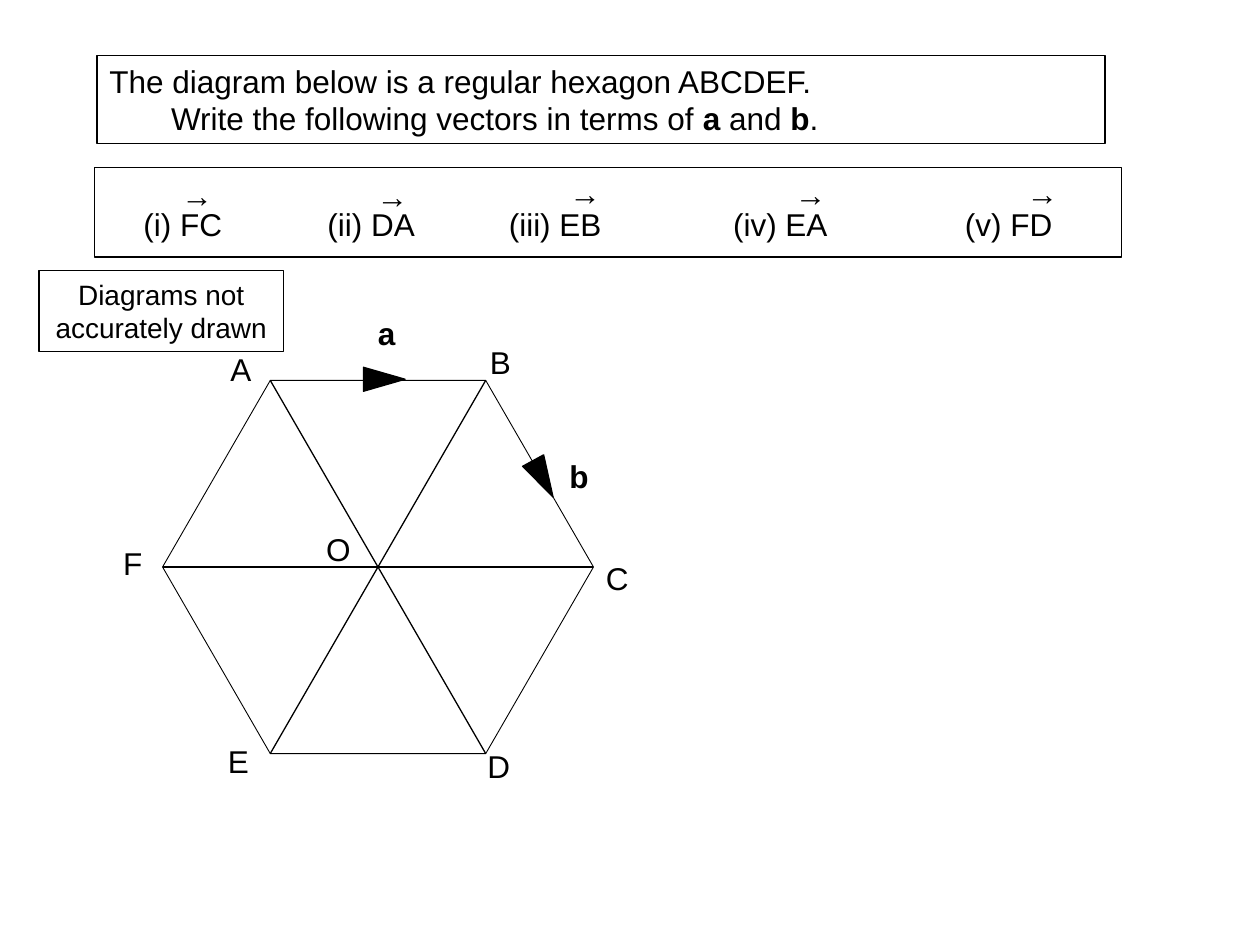
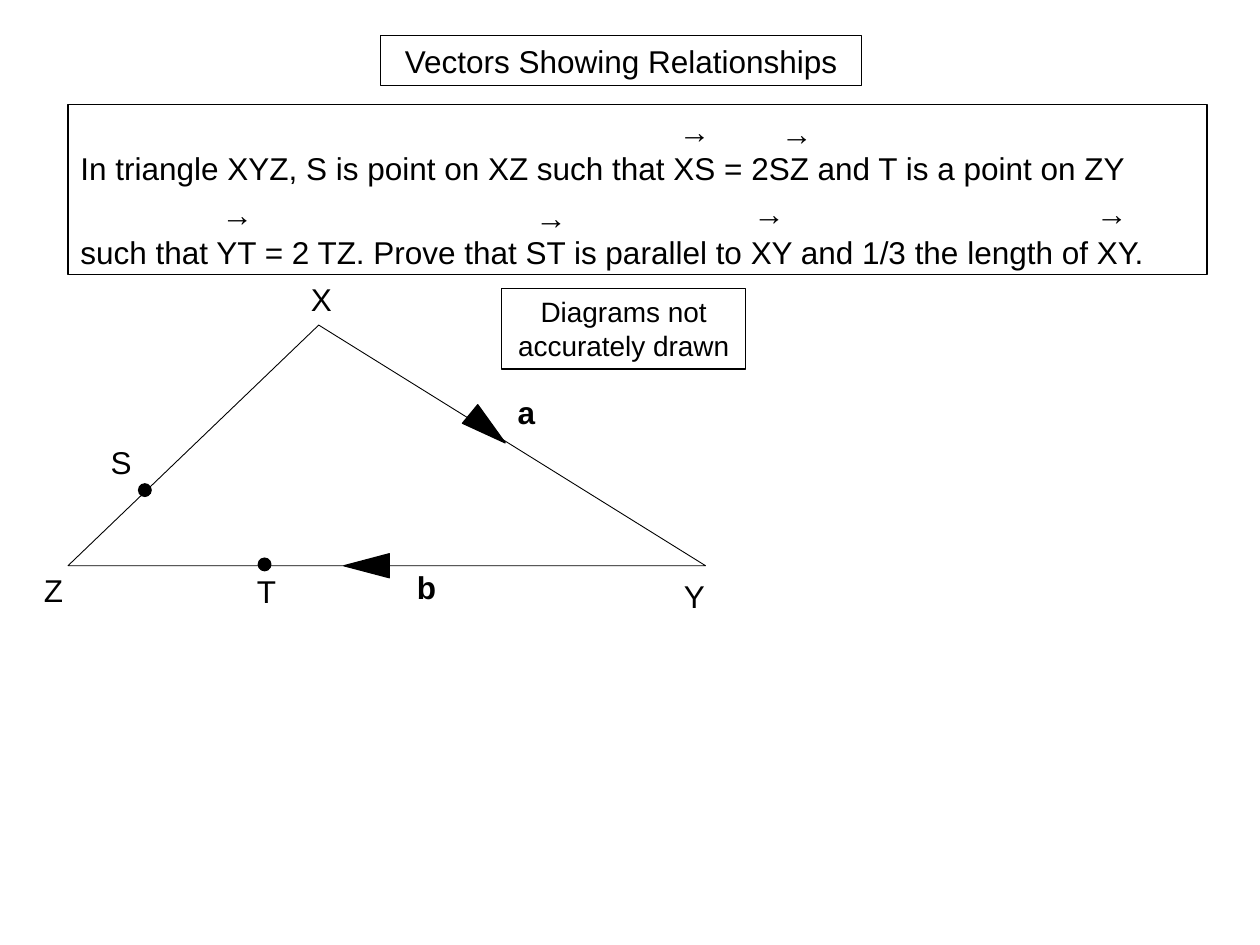
from dataclasses import dataclass
from math import cos, radians, sin

from lxml.etree import SubElement
from pptx import Presentation
from pptx.dml.color import RGBColor
from pptx.enum.shapes import MSO_CONNECTOR, MSO_SHAPE
from pptx.enum.text import MSO_ANCHOR, PP_ALIGN
from pptx.oxml.ns import qn
from pptx.util import Inches, Pt

COLUMNS, ROWS = 100, 75
TITLE_ONLY, BLANK = 5, 6


@dataclass(frozen=True)
class Theme:
    font: str = "Arial"
    ink: RGBColor = RGBColor(0, 0, 0)
    body_size: float = 18
    note_size: float = 16
    frame_line: float = 0.75
    figure_line: float = 0.5


class Worksheet:
    """Draws on the current slide; all positions are grid columns and rows."""

    def __init__(self, presentation, theme):
        self.presentation = presentation
        self.theme = theme
        self.column = presentation.slide_width // COLUMNS
        self.row = presentation.slide_height // ROWS
        self.slide = None

    def new_slide(self, layout):
        self.slide = self.presentation.slides.add_slide(
            self.presentation.slide_layouts[layout])

    def x(self, columns):
        return round(columns * self.column)

    def y(self, rows):
        return round(rows * self.row)

    def box(self, left, top, width, height):
        return self.x(left), self.y(top), self.x(width), self.y(height)

    def outline(self, shape, width=None):
        shape.line.color.rgb = self.theme.ink
        shape.line.width = Pt(width or self.theme.frame_line)

    def shape(self, kind, place, filled=False, line_width=None):
        shape = self.slide.shapes.add_shape(kind, *self.box(*place))
        shape.shadow.inherit = False
        if filled:
            shape.fill.solid()
            shape.fill.fore_color.rgb = self.theme.ink
        else:
            shape.fill.background()
        self.outline(shape, line_width)
        return shape

    def set_text(self, shape, lines, size=None, align=PP_ALIGN.LEFT, bold=False,
                 gap=0, indent=0, tabs=()):
        """Fill a shape with lines; *stars* mark bold, indent is for later lines."""
        frame = shape.text_frame
        frame.word_wrap = True
        frame.vertical_anchor = MSO_ANCHOR.TOP
        for number, line in enumerate(lines):
            paragraph = frame.add_paragraph() if number else frame.paragraphs[0]
            paragraph.alignment = align
            if number:
                paragraph.space_before = Pt(gap)
                paragraph._p.get_or_add_pPr().set("marL", str(self.x(indent)))
            if tabs:
                tab_list = SubElement(paragraph._p.get_or_add_pPr(), qn("a:tabLst"))
                for position in tabs:
                    SubElement(tab_list, qn("a:tab"), pos=str(self.x(position)), algn="l")
            for index, part in enumerate(line.split("*")):
                run = paragraph.add_run()
                run.text = part
                run.font.name = self.theme.font
                run.font.size = Pt(size or self.theme.body_size)
                run.font.color.rgb = self.theme.ink
                run.font.bold = bold or index % 2 == 1

    def title(self, text, place):
        title = self.slide.shapes.title
        title.left, title.top, title.width, title.height = self.box(*place)
        self.outline(title)
        self.set_text(title, [text], align=PP_ALIGN.CENTER)

    def framed_text(self, lines, place, **style):
        shape = self.shape(MSO_SHAPE.RECTANGLE, place)
        self.set_text(shape, lines, **style)
        return shape

    def label(self, text, left, top, width=4, **style):
        shape = self.slide.shapes.add_textbox(*self.box(left, top, width, 4))
        self.set_text(shape, [text], **style)

    def labels(self, places, **style):
        for text, (left, top) in places.items():
            self.label(text, left, top, **style)

    def vector_arrows(self, places):
        for left, top in places:
            self.label("→", left, top, width=5.8)

    def accuracy_note(self, left, top):
        self.framed_text(["Diagrams not accurately drawn"], (left, top, 19.4, 6.4),
                         size=self.theme.note_size, align=PP_ALIGN.CENTER)

    def centred(self, kind, centre, width, height):
        place = (centre[0] - width / 2, centre[1] - height / 2, width, height)
        return self.shape(kind, place, filled=True)

    def direction_mark(self, centre, angle, length):
        mark = self.centred(MSO_SHAPE.ISOSCELES_TRIANGLE, centre, 1.9, length)
        mark.rotation = angle

    def point(self, centre):
        self.centred(MSO_SHAPE.OVAL, centre, 1, 1)

    def line(self, start, end):
        line = self.slide.shapes.add_connector(
            MSO_CONNECTOR.STRAIGHT, self.x(start[0]), self.y(start[1]),
            self.x(end[0]), self.y(end[1]))
        self.outline(line)
        SubElement(line._element.spPr, qn("a:effectLst"))

    def polygon(self, corners):
        points = [(self.x(column), self.y(row)) for column, row in corners]
        builder = self.slide.shapes.build_freeform(*points[0])
        builder.add_line_segments(points[1:], close=True)
        polygon = builder.convert_to_shape()
        polygon.shadow.inherit = False
        polygon.fill.background()
        self.outline(polygon, self.theme.figure_line)

    def hexagon(self, centre, radius):
        """Regular hexagon with its three diagonals."""
        half_height = radius * sin(radians(60))
        hexagon = self.shape(
            MSO_SHAPE.HEXAGON,
            (centre[0] - radius, centre[1] - half_height, 2 * radius, 2 * half_height),
            line_width=self.theme.figure_line)
        hexagon.adjustments[0] = radius / 2 / (2 * half_height)
        corners = [(centre[0] + radius * cos(radians(angle)),
                    centre[1] + radius * sin(radians(angle)))
                   for angle in range(0, 360, 60)]
        for start, end in zip(corners[:3], corners[3:]):
            self.line(start, end)


def hexagon_slide(sheet):
    sheet.new_slide(BLANK)
    sheet.framed_text(["The diagram below is a regular hexagon ABCDEF.",
                       "Write the following vectors in terms of *a* and *b*."],
                      (7.7, 4.4, 80, 7), indent=4.9)
    sheet.label("(i) FC\t(ii) DA\t(iii) EB\t(iv) EA\t(v) FD", 10.4, 15.8,
                width=79.6, tabs=(14.6, 29, 46.8, 65.2))
    sheet.vector_arrows([(13.4, 13.5), (28.9, 13.6), (44.2, 13.3),
                         (62.1, 13.4), (80.5, 13.3)])
    sheet.shape(MSO_SHAPE.RECTANGLE, (7.5, 13.3, 81.5, 7.1))
    sheet.hexagon((30, 45), 17.1)
    sheet.direction_mark((30.5, 30.1), 90, 3.3)
    sheet.direction_mark((43.1, 38), 151.4, 3.3)
    sheet.labels({"A": (17.3, 27.3), "B": (37.9, 26.7), "C": (47.1, 43.9),
                  "D": (37.7, 58.8), "E": (17.1, 58.4), "F": (8.8, 42.7),
                  "O": (24.9, 41.6)})
    sheet.labels({"a": (29, 24.4), "b": (44.2, 35.8)}, bold=True)
    sheet.accuracy_note(3.1, 21.5)


def triangle_slide(sheet):
    sheet.new_slide(TITLE_ONLY)
    sheet.title("Vectors Showing Relationships", (30.2, 2.8, 38.2, 4))
    question = sheet.framed_text(
        ["In triangle XYZ, S is point on XZ such that XS = 2SZ and T is a point on ZY",
         "such that YT = 2 TZ. Prove that ST is parallel to XY and 1/3 the length of XY."],
        (5.4, 8.3, 90.4, 13.5), gap=26.7)
    question.text_frame.margin_top = Inches(0.35)
    sheet.vector_arrows([(52.9, 8.4), (61, 8.6), (16.6, 15),
                         (41.5, 15.2), (58.8, 14.9), (86, 14.9)])
    sheet.polygon([(56, 44.9), (5.4, 44.9), (25.3, 25.8)])
    sheet.direction_mark((29.1, 44.9), 270, 3.6)
    sheet.direction_mark((38.7, 34), 129.5, 3.6)
    sheet.point((11.5, 38.9))
    sheet.point((21, 44.8))
    sheet.labels({"X": (23.7, 21.7), "Y": (53.3, 45.3), "Z": (2.5, 44.8),
                  "S": (7.8, 34.7), "T": (19.4, 44.9)})
    sheet.labels({"a": (40.1, 30.7), "b": (32.1, 44.6)}, bold=True)
    sheet.accuracy_note(39.8, 22.9)


def main():
    presentation = Presentation()
    presentation.slide_width = Inches(10)
    presentation.slide_height = Inches(7.5)
    sheet = Worksheet(presentation, Theme())
    hexagon_slide(sheet)
    triangle_slide(sheet)
    presentation.save("out.pptx")


if __name__ == "__main__":
    main()
